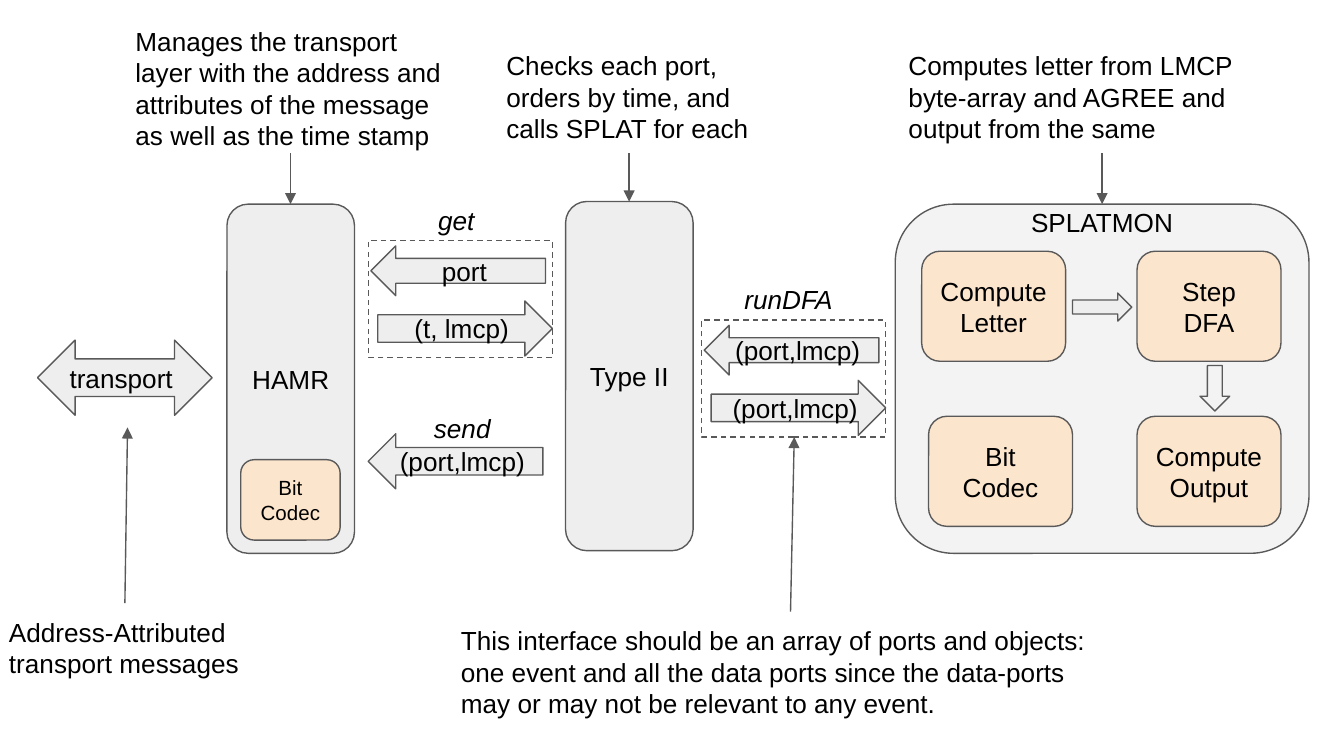
from pptx import Presentation
from pptx.dml.color import RGBColor
from pptx.enum.dml import MSO_LINE
from pptx.enum.shapes import MSO_CONNECTOR, MSO_SHAPE as SHAPE
from pptx.enum.text import MSO_ANCHOR as ANCHOR, PP_ALIGN as ALIGN
from pptx.oxml.ns import qn
from pptx.util import Cm, Pt
from lxml import etree

GREY, PALE, PEACH, LINE = "EEEEEE", "F3F3F3", "FCE5CD", "595959"
ROUND, LEFT, RIGHT = SHAPE.ROUNDED_RECTANGLE, SHAPE.LEFT_ARROW, SHAPE.RIGHT_ARROW

COMPONENTS = [
    ("HAMR", 4.29, 3.86, 2.41, GREY),
    ("Type II", 10.69, 3.81, 2.41, GREY),
    ("", 16.92, 3.86, 7.82, PALE),
]
COMPONENT_H = 6.6

STEPS = [
    ("Compute Letter", 17.42, 4.75),
    ("Step DFA", 21.49, 4.75),
    ("Compute Output", 21.49, 7.87),
    ("Bit\nCodec", 17.55, 7.87),
]
STEP_W, STEP_H = 2.72, 2.08

STEP_ARROWS = [
    (RIGHT, 20.27, 5.54, 1.12, 0.53, GREY),
    (SHAPE.DOWN_ARROW, 22.68, 6.91, 0.56, 0.86, PALE),
]

INTERFACES = [
    (6.96, 4.55, "port", " (t, lmcp)"),
    (13.26, 6.05, "(port,lmcp)", " (port,lmcp)"),
]
ARROW_W = 3.3

CALLS = [
    ("get", 8.03, 3.61, 1.35),
    ("send", 7.95, 7.54, 1.68),
    ("runDFA", 13.82, 5.11, 2.41),
]

NOTES = [
    ("Manages the transport layer with the address and attributes of the message "
     "as well as the time stamp", 2.31, 0.23, 6.4, 2.67),
    ("Checks each port, orders by time, and calls SPLAT for each ", 9.32, 0.69, 5.16, 2.21),
    ("Computes letter from LMCP byte-array and AGREE and output from the same",
     16.92, 0.69, 7.82, 2.21),
    ("Address-Attributed transport messages", -0.08, 11.4, 4.88, 2.21),
    ("This interface should be an array of ports and objects: one event and all the data "
     "ports since the data-ports may or may not be relevant to any event.",
     8.46, 11.56, 12.93, 2.21),
]

POINTERS = [
    (5.49, 2.9, 5.49, 3.86),
    (11.89, 2.9, 11.89, 3.81),
    (20.83, 2.9, 20.83, 3.86),
    (2.36, 11.4, 2.41, 8.08),
    (14.94, 11.56, 15.01, 8.26),
]


def rgb(color):
    return RGBColor.from_string(color)


def write(sp, text, size=14, italic=False, align=ALIGN.LEFT, anchor=ANCHOR.TOP):
    tf = sp.text_frame
    tf.word_wrap = True
    tf.vertical_anchor = anchor
    tf.margin_left = tf.margin_right = tf.margin_top = tf.margin_bottom = Cm(0.25)
    for i, line in enumerate(text.split("\n")):
        p = tf.add_paragraph() if i else tf.paragraphs[0]
        p.alignment = align
        r = p.add_run()
        r.text = line
        r.font.name = "Arial"
        r.font.size = Pt(size)
        r.font.italic = italic
        r.font.color.rgb = rgb("000000")


def add_text(text, x, y, w, h, **fmt):
    write(s.shapes.add_textbox(Cm(x), Cm(y), Cm(w), Cm(h)), text, **fmt)


def add_box(kind, x, y, w, h, fill=None, text="", align=ALIGN.CENTER, **fmt):
    sp = s.shapes.add_shape(kind, Cm(x), Cm(y), Cm(w), Cm(h))
    sp.shadow.inherit = False
    if fill:
        sp.fill.solid()
        sp.fill.fore_color.rgb = rgb(fill)
    else:
        sp.fill.background()
    sp.line.color.rgb = rgb(LINE)
    sp.line.width = Pt(0.75)
    if text:
        write(sp, text, align=align, anchor=ANCHOR.MIDDLE, **fmt)
    return sp


def add_pointer(x1, y1, x2, y2):
    c = s.shapes.add_connector(MSO_CONNECTOR.STRAIGHT, Cm(x1), Cm(y1), Cm(x2), Cm(y2))
    c.line.color.rgb = rgb(LINE)
    c.line.width = Pt(0.75)
    etree.SubElement(c.line._get_or_add_ln(), qn("a:tailEnd"), type="triangle")
    etree.SubElement(c._element.spPr, qn("a:effectLst"))


prs = Presentation()
prs.slide_width, prs.slide_height = Cm(25.4), Cm(14.29)
s = prs.slides.add_slide(prs.slide_layouts[6])

for name, x, y, w, fill in COMPONENTS:
    add_box(ROUND, x, y, w, COMPONENT_H, fill, name)
add_text("SPLATMON", 16.92, 3.66, 7.82, 1.04, align=ALIGN.CENTER)
add_box(ROUND, 4.55, 8.69, 1.88, 1.52, PEACH, "Bit\nCodec", size=11)

for name, x, y in STEPS:
    add_box(ROUND, x, y, STEP_W, STEP_H, PEACH, name)
for arrow in STEP_ARROWS:
    add_box(*arrow)

add_box(SHAPE.LEFT_RIGHT_ARROW, 0.71, 6.43, ARROW_W, 1.42, GREY, "transport", align=ALIGN.LEFT)
add_box(LEFT, 6.96, 8.2, ARROW_W, 1.04, GREY, "(port,lmcp)")
for x, y, request, reply in INTERFACES:
    add_box(LEFT, x + 0.05, y + 0.1, ARROW_W, 0.94, GREY, request)
    add_box(RIGHT, x + 0.18, y + 1.14, ARROW_W, 1.04, GREY, reply)
    add_box(SHAPE.RECTANGLE, x, y, 3.48, 2.21).line.dash_style = MSO_LINE.DASH

for name, x, y, w in CALLS:
    add_text(name, x, y, w, 1.04, italic=True)
for note in NOTES:
    add_text(*note)
for pointer in POINTERS:
    add_pointer(*pointer)

prs.save("out.pptx")
